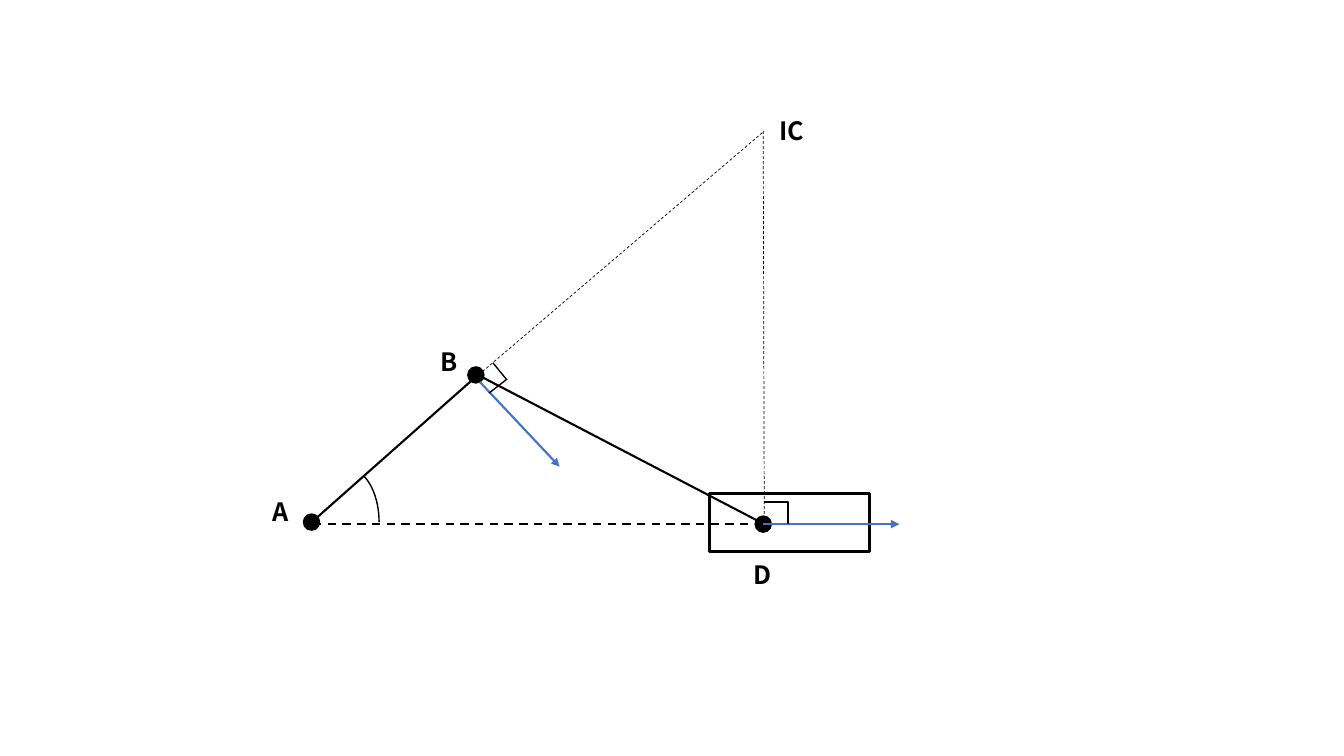
from lxml import etree
from pptx import Presentation
from pptx.dml.color import RGBColor
from pptx.enum.dml import MSO_LINE_DASH_STYLE as Dash
from pptx.enum.shapes import MSO_CONNECTOR as Conn, MSO_SHAPE as Shape
from pptx.enum.text import MSO_AUTO_SIZE as Auto
from pptx.oxml.ns import qn
from pptx.util import Inches, Pt

BLACK = RGBColor(0x00, 0x00, 0x00)
BLUE = RGBColor(0x44, 0x72, 0xC4)
FONT = "Noto Sans CJK SC"

# Lines: start, end, width in points, dashed
LINKS = [
    ((3.07, 5.2), (4.74, 3.72), 1.5, False),
    ((7.58, 5.2), (4.74, 3.72), 1.5, False),
    ((7.57, 5.2), (3.05, 5.2), 1.5, True),
]
RAYS = [
    ((7.58, 5.1), (7.57, 1.29), 0.5, True),
    ((4.71, 3.75), (7.58, 1.3), 0.5, True),
]
SQUARE_B = [
    ((4.89, 3.6), (5.02, 3.76), 1, False),
    ((4.85, 3.9), (5.03, 3.76), 1, False),
]
SPEEDS = [((4.76, 3.79), (5.55, 4.63)), ((7.57, 5.2), (8.92, 5.2))]
SQUARE_D = ((7.58, 4.98), (7.82, 5.19))
SLIDER = (7.04, 4.9, 1.58, 0.57)
PINS = [(7.57, 5.2), (4.72, 3.72), (3.09, 5.18)]
PIN = 0.16
ANGLE = (3.12, 4.64, 0.64, 1.08)
ARC_START = 289.82  # degrees
LABELS = [
    ("B", 4.27, 3.39, 0.37),
    ("A", 2.6, 4.87, 0.37),
    ("D", 7.38, 5.5, 0.37),
    ("IC", 7.63, 1.09, 0.78),
]

deck = Presentation()
deck.slide_width, deck.slide_height = Inches(13.33), Inches(7.5)
shapes = deck.slides.add_slide(deck.slide_layouts[6]).shapes


def line(start, end, width, dashed=False, color=BLACK, arrow=False, kind=Conn.STRAIGHT):
    item = shapes.add_connector(kind, *map(Inches, start + end))
    item.line.color.rgb = color
    item.line.width = Pt(width)
    if dashed:
        item.line.dash_style = Dash.DASH
    props = item.line._get_or_add_ln()
    if arrow:
        etree.SubElement(props, qn("a:tailEnd"), type="triangle")
    etree.SubElement(props.getparent(), qn("a:effectLst"))
    return item


def outline(kind, box, width, fill=None):
    item = shapes.add_shape(kind, *map(Inches, box))
    item.shadow.inherit = False
    if fill is None:
        item.fill.background()
    else:
        item.fill.solid()
        item.fill.fore_color.rgb = fill
    item.line.color.rgb = BLACK
    item.line.width = Pt(width)
    return item


def label(text, left, top, width, height=0.4, size=18, bold=True, color=BLACK):
    frame = shapes.add_textbox(*map(Inches, (left, top, width, height))).text_frame
    frame.word_wrap = True
    frame.auto_size = Auto.SHAPE_TO_FIT_TEXT
    run = frame.paragraphs[0].add_run()
    run.text = text
    font = run.font
    font.name, font.size, font.bold = FONT, Pt(size), bold
    font.color.rgb = color


for link in LINKS:
    line(*link)

outline(Shape.RECTANGLE, SLIDER, 2.25)
for x, y in PINS:
    outline(Shape.OVAL, (x - PIN / 2, y - PIN / 2, PIN, PIN), 1, fill=BLACK)
arc = outline(Shape.ARC, ANGLE, 1)
arc.adjustments[0] = ARC_START * 0.6  # 60000ths of a degree, scaled by 100000
arc.adjustments[1] = 0

for start, end in SPEEDS:
    line(start, end, 1.5, color=BLUE, arrow=True)
for ray in RAYS:
    line(*ray)

elbow = line(*SQUARE_D, 1, kind=Conn.ELBOW)
guides = next(elbow._element.iter(qn("a:avLst")))
etree.SubElement(guides, qn("a:gd"), name="adj1", fmla="val 98800")
for side in SQUARE_B:
    line(*side)

for item in LABELS:
    label(*item)

deck.save("out.pptx")
